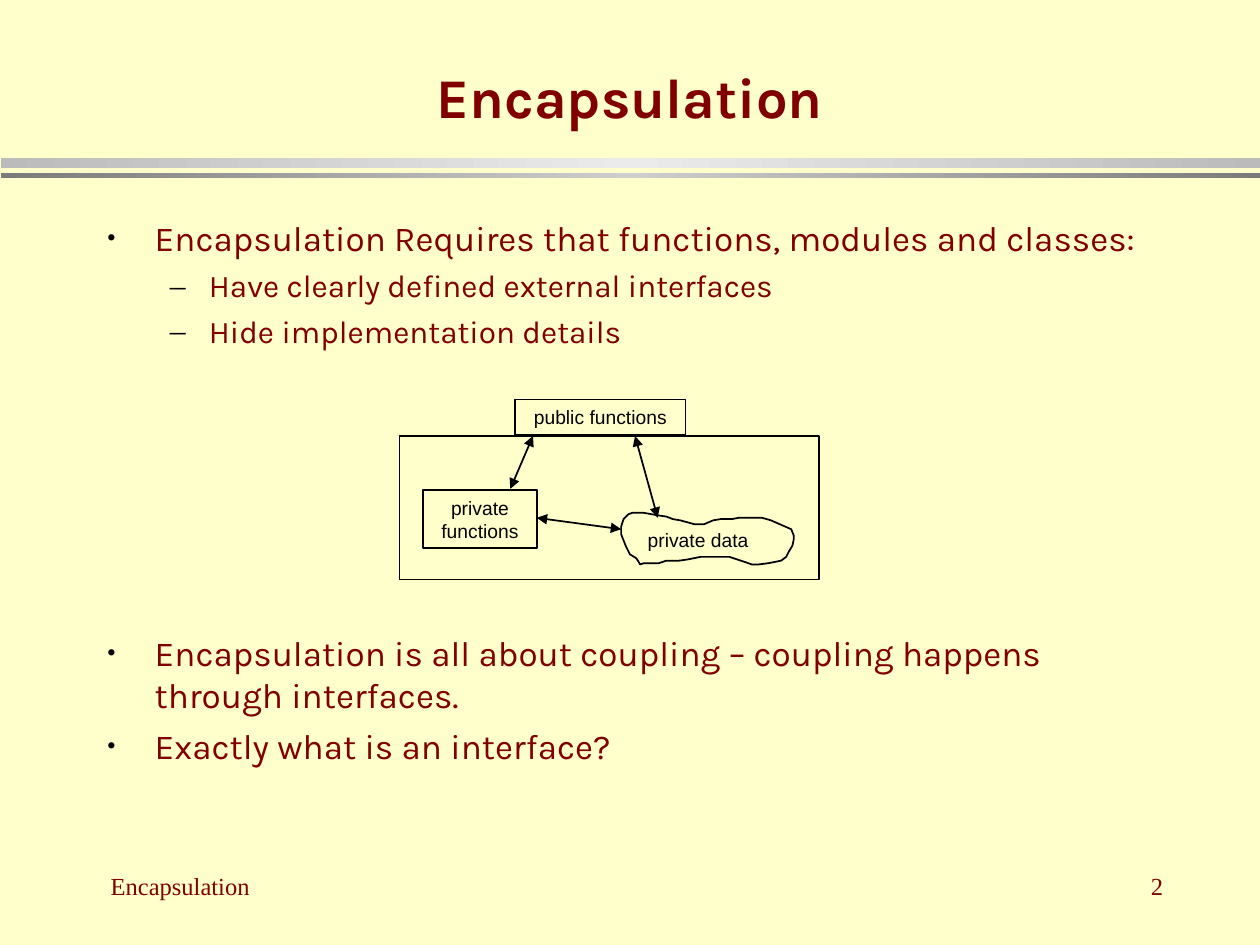
from dataclasses import dataclass

from pptx import Presentation
from pptx.dml import color
from pptx.enum import shapes, text
from pptx.oxml import parse_xml
from pptx.oxml import ns
from pptx.util import Inches, Pt


@dataclass(frozen=True)
class Theme:
    paper: str = "FFFFCC"
    maroon: str = "800000"
    ink: str = "000000"
    heading_font: str = "Karla"
    label_font: str = "Arial"
    footer_font: str = "Times New Roman"
    title_size: float = 32
    point_size: float = 20
    detail_size: float = 18
    footer_size: float = 14
    label_size: float = 11
    outline: float = 1


@dataclass(frozen=True)
class Box:
    left: float
    top: float
    width: float
    height: float

    def inner(self, left, top, width, height):
        return Box(self.left + left, self.top + top, width, height)

    def lengths(self):
        return [Inches(v) for v in (self.left, self.top, self.width, self.height)]


THEME = Theme()
rgb = color.RGBColor.from_string


def element(xml):
    head, tail = xml.split(" ", 1)
    return parse_xml(f'{head} {ns.nsdecls("a")} {tail}')


def add_run(paragraph, words, font, size, shade, bold=False):
    run = paragraph.add_run()
    run.text = words
    run.font.name, run.font.size, run.font.bold = font, Pt(size), bold
    run.font.color.rgb = rgb(shade)


def set_frame(frame, anchor, wrap=True, side=0.1):
    frame.auto_size = text.MSO_AUTO_SIZE.NONE
    frame.word_wrap = wrap
    frame.vertical_anchor = anchor
    frame.margin_left = frame.margin_right = Inches(side)
    frame.margin_top = frame.margin_bottom = Inches(0.05)


def add_text(slide, box, anchor, wrap=True, side=0.1):
    frame = slide.shapes.add_textbox(*box.lengths()).text_frame
    set_frame(frame, anchor, wrap, side)
    return frame


def style_outline(shape):
    shape.shadow.inherit = False
    shape.line.color.rgb = rgb(THEME.ink)
    shape.line.width = Pt(THEME.outline)


def add_rules(slide, box):
    for top, height, edge, middle in ((0, 0.08, "BBBBBB", "EBEBEB"),
                                      (0.12, 0.04, "7B7B7B", "CECECE")):
        rule = slide.shapes.add_shape(shapes.MSO_SHAPE.RECTANGLE,
                                      *box.inner(0, top, box.width, height).lengths())
        rule.shadow.inherit = False
        rule.line.fill.background()
        stops = "".join(f'<a:gs pos="{pos}"><a:srgbClr val="{shade}"/></a:gs>'
                        for pos, shade in ((0, edge), (50000, middle), (100000, edge)))
        gradient = element(f'<a:gradFill rotWithShape="1"><a:gsLst>{stops}</a:gsLst>'
                           '<a:lin ang="0" scaled="0"/></a:gradFill>')
        rule._element.spPr.find(ns.qn("a:prstGeom")).addnext(gradient)


def add_title(slide, box, words):
    title = slide.shapes.title
    title.left, title.top, title.width, title.height = box.lengths()
    set_frame(title.text_frame, text.MSO_ANCHOR.BOTTOM)
    paragraph = title.text_frame.paragraphs[0]
    paragraph.alignment = text.PP_ALIGN.CENTER
    add_run(paragraph, words, THEME.heading_font, THEME.title_size, THEME.maroon, True)


def add_points(slide, box, points):
    levels = (("•", 0.38, 0.38, 75000, THEME.point_size),
              ("–", 0.81, 0.31, 100000, THEME.detail_size))
    frame = add_text(slide, box, text.MSO_ANCHOR.TOP)
    for index, (level, before, words) in enumerate(points):
        mark, margin, hang, scale, size = levels[level]
        paragraph = frame.add_paragraph() if index else frame.paragraphs[0]
        paragraph.level = level
        paragraph.space_before = Pt(before)
        properties = paragraph._p.get_or_add_pPr()
        properties.set("marL", str(Inches(margin)))
        properties.set("indent", str(-Inches(hang)))
        for xml in (f'<a:buClr ><a:srgbClr val="{THEME.ink}"/></a:buClr>',
                    f'<a:buSzPct val="{scale}"/>',
                    f'<a:buFont typeface="{THEME.footer_font}"/>',
                    f'<a:buChar char="{mark}"/>'):
            properties.append(element(xml))
        add_run(paragraph, words, THEME.heading_font, size, THEME.maroon)


def add_block(slide, box, words=None, filled=False):
    block = slide.shapes.add_shape(shapes.MSO_SHAPE.RECTANGLE, *box.lengths())
    style_outline(block)
    if filled:
        block.fill.solid()
        block.fill.fore_color.rgb = rgb(THEME.paper)
    else:
        block.fill.background()
    if words:
        set_frame(block.text_frame, text.MSO_ANCHOR.MIDDLE, side=0.09)
        paragraph = block.text_frame.paragraphs[0]
        paragraph.alignment = text.PP_ALIGN.CENTER
        add_run(paragraph, words, THEME.label_font, THEME.label_size, THEME.ink)


def add_data_cloud(slide, box):
    outline = ((0.14, 0.39), (0.12, 0.36), (0.07, 0.33), (0.04, 0.27), (0.02, 0.22),
               (0, 0.17), (0, 0.11), (0.02, 0.05), (0.06, 0.01), (0.09, 0),
               (0.18, 0), (0.29, 0.02), (0.36, 0.03), (0.41, 0.05), (0.47, 0.06),
               (0.58, 0.09), (0.66, 0.09), (0.73, 0.06), (0.79, 0.05), (0.88, 0.05),
               (0.93, 0.04), (1.12, 0.04), (1.19, 0.06), (1.28, 0.1), (1.35, 0.13),
               (1.37, 0.18), (1.37, 0.21), (1.36, 0.26), (1.33, 0.31), (1.31, 0.35),
               (1.27, 0.38), (1.22, 0.39), (1.17, 0.4), (1.09, 0.41), (1.04, 0.41),
               (0.98, 0.39), (0.92, 0.37), (0.86, 0.35), (0.63, 0.35), (0.53, 0.37),
               (0.46, 0.38), (0.36, 0.38), (0.3, 0.4), (0.18, 0.4), (0.15, 0.41))
    points = [(Inches(box.left + x), Inches(box.top + y)) for x, y in outline]
    builder = slide.shapes.build_freeform(*points[0], scale=1.0)
    builder.add_line_segments(points[1:], close=True)
    cloud = builder.convert_to_shape()
    cloud.fill.background()
    style_outline(cloud)


def add_arrow(slide, box, start, end):
    ends = [Inches(v) for x, y in (start, end) for v in (box.left + x, box.top + y)]
    arrow = slide.shapes.add_connector(shapes.MSO_CONNECTOR.STRAIGHT, *ends)
    arrow.line.color.rgb = rgb(THEME.ink)
    arrow.line.width = Pt(THEME.outline)
    line = arrow.line._get_or_add_ln()
    for tip in ("headEnd", "tailEnd"):
        line.append(element(f'<a:{tip} type="triangle"/>'))
    arrow._element.spPr.append(element("<a:effectLst />"))


def add_diagram(slide, box):
    add_block(slide, box.inner(0, 0.29, box.width, box.height - 0.29))
    label = add_text(slide, box.inner(1.88, 0.97, 0.99, 0.28),
                     text.MSO_ANCHOR.TOP, wrap=False, side=0.09)
    add_run(label.paragraphs[0], "private data",
            THEME.label_font, THEME.label_size, THEME.ink)
    add_data_cloud(slide, box.inner(1.76, 0.9, 1.37, 0.41))
    add_block(slide, box.inner(0.19, 0.72, 0.9, 0.46), "private functions", True)
    add_block(slide, box.inner(0.92, 0, 1.35, 0.28), "public functions")
    for start, end in (((1.06, 0.29), (0.88, 0.71)),
                       ((1.87, 0.29), (2.05, 0.94)),
                       ((1.09, 0.94), (1.76, 1.03))):
        add_arrow(slide, box, start, end)


def add_footer(slide, box, topic, number):
    for left, width, words, alignment in (
            (0, 3.11, topic, text.PP_ALIGN.LEFT),
            (box.width - 2, 2, number, text.PP_ALIGN.RIGHT)):
        frame = add_text(slide, box.inner(left, 0, width, box.height),
                         text.MSO_ANCHOR.MIDDLE)
        frame.paragraphs[0].alignment = alignment
        add_run(frame.paragraphs[0], words,
                THEME.footer_font, THEME.footer_size, THEME.maroon)


deck = Presentation()
deck.slide_width, deck.slide_height = Inches(10), Inches(7.5)
slide = deck.slides.add_slide(deck.slide_layouts[5])
slide.background.fill.solid()
slide.background.fill.fore_color.rgb = rgb(THEME.paper)

add_rules(slide, Box(0.01, 1.25, 9.99, 0.16))
add_title(slide, Box(0.75, 0.25, 8.5, 0.83), "Encapsulation")
add_points(slide, Box(0.75, 1.67, 8.5, 5), (
    (0, 5, "Encapsulation Requires that functions, modules and classes:"),
    (1, 4.5, "Have clearly defined external interfaces"),
    (1, 4.5, "Hide implementation details"),
    (0, 161, "Encapsulation is all about coupling – coupling happens through interfaces."),
    (0, 5, "Exactly what is an interface?")))
add_diagram(slide, Box(3.17, 3.17, 3.33, 1.43))
add_footer(slide, Box(0.78, 6.75, 8.55, 0.56), "Encapsulation", "2")
deck.save("out.pptx")
